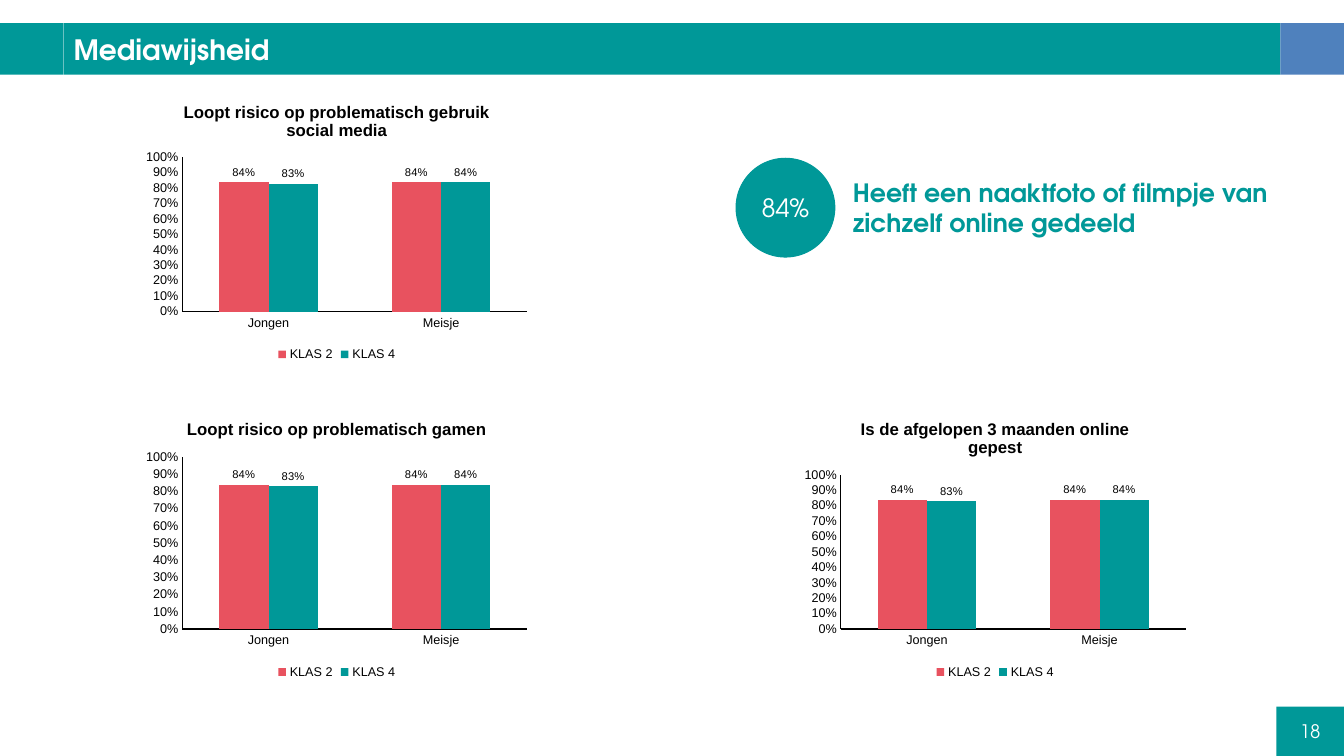
from pptx import Presentation, util as u
from pptx.chart.data import CategoryChartData
from pptx.dml.color import RGBColor
from pptx.enum import chart as ch, shapes, text

COLORS = {"teal": "009898", "blue": "4F81BD", "red": "E8525F",
          "white": "FFFFFF", "black": "000000"}
DISPLAY, BODY = "TeX Gyre Adventor", "Arial"
WIDTH, HEIGHT = 13.33, 7.5
BAR_TOP, BAR_HEIGHT, BAR_END = 0.23, 0.51, 0.63
COLUMNS, ROWS = (1.37, 7.9), (0.87, 4.02)
CHART_SIZE = (3.94, 2.76)
SERIES = {"KLAS 2": ((0.84, 0.84), "red"), "KLAS 4": ((0.83, 0.84), "teal")}
CHARTS = [("Loopt risico op problematisch gebruik social media", 0, 0),
          ("Loopt risico op problematisch gamen", 0, 1),
          ("Is de afgelopen 3 maanden online gepest", 1, 1)]


def rgb(name):
    """Return the named colour."""
    return RGBColor.from_string(COLORS[name])


def inches(box):
    """Turn left, top, width, height into lengths."""
    return [u.Inches(v) for v in box]


def style_font(font, size, color="black", name=BODY, bold=False):
    """Apply one set of format values to a font."""
    values = {"size": u.Pt(size), "name": name, "bold": bold}
    for key, value in values.items():
        setattr(font, key, value)
    font.color.rgb = rgb(color)


def write(sp, words, size, color="white", bold=False,
          align=text.PP_ALIGN.LEFT, anchor=text.MSO_ANCHOR.MIDDLE):
    """Put one display-font paragraph in a shape."""
    tf = sp.text_frame
    values = {"word_wrap": True, "auto_size": text.MSO_AUTO_SIZE.NONE,
              "vertical_anchor": anchor}
    for key, value in values.items():
        setattr(tf, key, value)
    p = tf.paragraphs[0]
    p.alignment = align
    r = p.add_run()
    r.text = words
    style_font(r.font, size, color, DISPLAY, bold)


def add_block(s, box, color, kind=shapes.MSO_SHAPE.RECTANGLE):
    """Add a flat filled shape without outline."""
    sp = s.shapes.add_shape(kind, *inches(box))
    sp.shadow.inherit = False
    sp.fill.solid()
    sp.fill.fore_color.rgb = rgb(color)
    sp.line.fill.background()
    return sp


def add_header(s, box, words):
    """Build the title bar with a block at either end."""
    left, top, width, height = box
    title = s.shapes.title
    place = (left + BAR_END, top, width - 2 * BAR_END, height)
    for key, value in zip(("left", "top", "width", "height"), inches(place)):
        setattr(title, key, value)
    title.fill.solid()
    title.fill.fore_color.rgb = rgb("teal")
    write(title, words, 20, bold=True)
    add_block(s, (left, top, BAR_END, height), "teal")
    add_block(s, (left + width - BAR_END, top, BAR_END, height), "blue")


def add_fact(s, box, share, words):
    """Build a circled percentage with its statement alongside."""
    left, top, width, height = box
    circle = add_block(s, (left, top, height, height), "teal",
                       shapes.MSO_SHAPE.OVAL)
    circle.line.color.rgb = rgb("teal")
    circle.line.width = u.Pt(0.75)
    write(circle, share, 18, align=text.PP_ALIGN.CENTER)
    offset = height + 0.08
    label = s.shapes.add_textbox(
        *inches((left + offset, top + 0.14, width - offset, 0.71)))
    write(label, words, 18, "teal", True, anchor=text.MSO_ANCHOR.TOP)


def style_axis(axis):
    """Draw an axis as a plain black line with small labels."""
    values = {"has_major_gridlines": False,
              "major_tick_mark": ch.XL_TICK_MARK.NONE,
              "minor_tick_mark": ch.XL_TICK_MARK.NONE}
    for key, value in values.items():
        setattr(axis, key, value)
    axis.format.line.color.rgb = rgb("black")
    axis.format.line.width = u.Pt(1)
    style_font(axis.tick_labels.font, 9)


def add_bar_chart(s, box, heading):
    """Build a column chart of both classes by gender."""
    data = CategoryChartData(number_format="0%")
    data.categories = ["Jongen", "Meisje"]
    for name, (values, _) in SERIES.items():
        data.add_series(name, values)
    chart = s.shapes.add_chart(ch.XL_CHART_TYPE.COLUMN_CLUSTERED,
                               *inches(box), data).chart
    style_font(chart.font, 9)
    chart.has_title = True
    tf = chart.chart_title.text_frame
    tf.text = heading
    style_font(tf.paragraphs[0].runs[0].font, 12, bold=True)
    chart.chart_title.include_in_layout = False

    chart.has_legend = True
    chart.legend.position = ch.XL_LEGEND_POSITION.BOTTOM
    chart.legend.include_in_layout = False
    style_font(chart.legend.font, 9)

    for axis in (chart.category_axis, chart.value_axis):
        style_axis(axis)
    scale = {"minimum_scale": 0, "maximum_scale": 1, "major_unit": 0.1}
    for key, value in scale.items():
        setattr(chart.value_axis, key, value)
    chart.value_axis.tick_labels.number_format = "0%"
    chart.value_axis.tick_labels.number_format_is_linked = False

    plot = chart.plots[0]
    plot.vary_by_categories = False
    plot.gap_width, plot.overlap = 150, 0
    for series in plot.series:
        series.format.fill.solid()
        series.format.fill.fore_color.rgb = rgb(SERIES[series.name][1])
        labels = series.data_labels
        values = {"show_value": True, "number_format": "0%",
                  "number_format_is_linked": False,
                  "position": ch.XL_LABEL_POSITION.OUTSIDE_END}
        for key, value in values.items():
            setattr(labels, key, value)
        style_font(labels.font, 8)


def add_page_number(s, box, number):
    """Build the page number block."""
    sp = add_block(s, box, "teal")
    write(sp, number, 13.3, align=text.PP_ALIGN.CENTER)


def build_slide(prs):
    """Build the media literacy slide."""
    s = prs.slides.add_slide(prs.slide_layouts[5])
    add_header(s, (0, BAR_TOP, WIDTH, BAR_HEIGHT), "Mediawijsheid")
    add_fact(s, (7.3, 1.57, 5.46, 0.98), "84%",
             "Heeft een naaktfoto of filmpje van zichzelf online gedeeld")
    for heading, column, row in CHARTS:
        add_bar_chart(s, (COLUMNS[column], ROWS[row], *CHART_SIZE), heading)
    add_page_number(s, (WIDTH - 0.67, HEIGHT - 0.49, 0.67, 0.49), "18")


prs = Presentation()
prs.slide_width, prs.slide_height = u.Inches(WIDTH), u.Inches(HEIGHT)
build_slide(prs)
prs.save("out.pptx")
